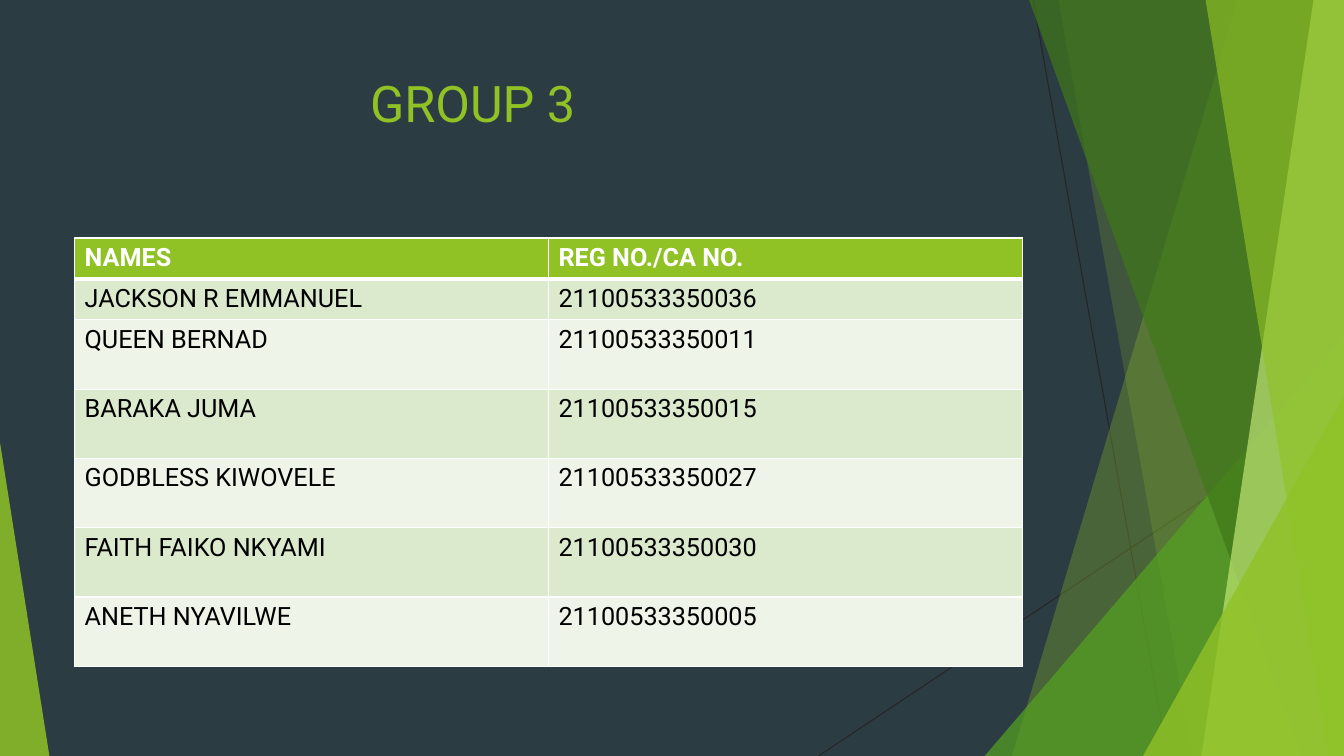
from lxml.etree import SubElement
from pptx import Presentation
from pptx.dml.color import RGBColor
from pptx.enum.shapes import MSO_CONNECTOR, MSO_SHAPE
from pptx.enum.text import MSO_ANCHOR
from pptx.oxml.ns import qn
from pptx.util import Pt

WIDE, HIGH = 960, 540
FONT = "Roboto"
GREEN, WHITE, BLACK = "90C226", "FFFFFF", "000000"

TITLE = "GROUP 3"
ROWS = [
    ("NAMES", "REG NO./CA NO."),
    ("JACKSON R EMMANUEL", "21100533350036"),
    ("QUEEN BERNAD", "21100533350011"),
    ("BARAKA JUMA", "21100533350015"),
    ("GODBLESS KIWOVELE", "21100533350027"),
    ("FAITH FAIKO NKYAMI", "21100533350030"),
    ("ANETH NYAVILWE", "21100533350005"),
]
HEIGHTS = [29.25] * 2 + [49.5] * 5
BANDS = ["DBE9CD", "EEF4E8"]
LEFT, TOP, SPAN = 53.3, 170, 677

LINES = [(738, 0, 834, HIGH), (WIDE, 290, 584.6, HIGH)]
# Back to front. A beam runs from its top x and bottom x to the right edge;
# a wedge stands on the bottom edge: left, width, height, apex (0 left, 1 right).
DECOR = [
    ("beam", (884.2, 722.9), GREEN, 30),
    ("beam", (756, 851.8), GREEN, 20),
    ("wedge", (703.4, 256.6, 300.2, 1), "54A021", 72),
    ("beam", (735.1, 929.5), "3F7819", 70),
    ("beam", (938.2, 858.2), "C0E474", 70),
    ("beam", (861.1, 949), GREEN, 65),
    ("wedge", (816.5, 143.5, 257, 1), GREEN, 80),
    ("wedge", (0, 35.3, 223.9, 0), GREEN, 85),
]


def color(code):
    """Turn a hex string into a colour."""
    return RGBColor.from_string(code)


def paint(shape, code, alpha):
    """Give a shape a see-through fill, no line and no shadow."""
    shape.shadow.inherit = False
    shape.line.fill.background()
    shape.fill.solid()
    shape.fill.fore_color.rgb = color(code)
    tint = shape.fill._xPr.find(".//" + qn("a:srgbClr"))
    SubElement(tint, qn("a:alpha"), val=str(alpha * 1000))


def beam(top, base):
    """Draw a slanted panel that reaches the right edge."""
    pen = slide.shapes.build_freeform(Pt(top), 0)
    points = [(WIDE, 0), (WIDE, HIGH), (base, HIGH)]
    pen.add_line_segments([(Pt(x), Pt(y)) for x, y in points], close=True)
    return pen.convert_to_shape()


def wedge(left, width, height, apex):
    """Draw a triangle standing on the bottom edge."""
    shape = slide.shapes.add_shape(MSO_SHAPE.ISOSCELES_TRIANGLE, Pt(left),
                                   Pt(HIGH - height), Pt(width), Pt(height))
    shape.adjustments[0] = apex
    return shape


def line(*ends):
    """Draw a thin dark line."""
    wire = slide.shapes.add_connector(MSO_CONNECTOR.STRAIGHT, *map(Pt, ends))
    wire.line.color.rgb = color("262626")
    wire.line.width = Pt(0.75)
    SubElement(wire._element.spPr, qn("a:effectLst"))


def write(frame, text, size=18, code=BLACK, bold=False):
    """Put formatted text into a text frame."""
    run = frame.paragraphs[0].add_run()
    run.text = text
    run.font.name, run.font.size, run.font.bold = FONT, Pt(size), bold
    run.font.color.rgb = color(code)


def border(cell, **widths):
    """Give a cell white borders; keys L, R, T and B in that order."""
    props = cell._tc.get_or_add_tcPr()
    for side, width in widths.items():
        edge = SubElement(props, qn("a:ln" + side), w=str(Pt(width)))
        fill = SubElement(edge, qn("a:solidFill"))
        SubElement(fill, qn("a:srgbClr"), val=WHITE)


deck = Presentation()
deck.slide_width, deck.slide_height = Pt(WIDE), Pt(HIGH)
slide = deck.slides.add_slide(deck.slide_layouts[6])
slide.background.fill.solid()
slide.background.fill.fore_color.rgb = color("2C3C43")

for ends in LINES:
    line(*ends)
draw = {"beam": beam, "wedge": wedge}
for kind, place, code, alpha in DECOR:
    paint(draw[kind](*place), code, alpha)

title = slide.shapes.add_textbox(Pt(LEFT), Pt(48), Pt(SPAN), Pt(104)).text_frame
title.word_wrap = True
title.vertical_anchor = MSO_ANCHOR.TOP
title.margin_left = Pt(211)
write(title, TITLE, size=36, code=GREEN)

table = slide.shapes.add_table(len(ROWS), 2, Pt(LEFT), Pt(TOP),
                               Pt(SPAN), Pt(sum(HEIGHTS))).table
for r, (row, height) in enumerate(zip(ROWS, HEIGHTS)):
    table.rows[r].height = Pt(height)
    head = r == 0
    for c, text in enumerate(row):
        cell = table.cell(r, c)
        border(cell, L=1, R=1, T=3 if r == 1 else 1, B=3 if head else 1)
        cell.fill.solid()
        cell.fill.fore_color.rgb = color(GREEN if head else BANDS[(r - 1) % 2])
        write(cell.text_frame, text, code=WHITE if head else BLACK, bold=head)

deck.save("out.pptx")
